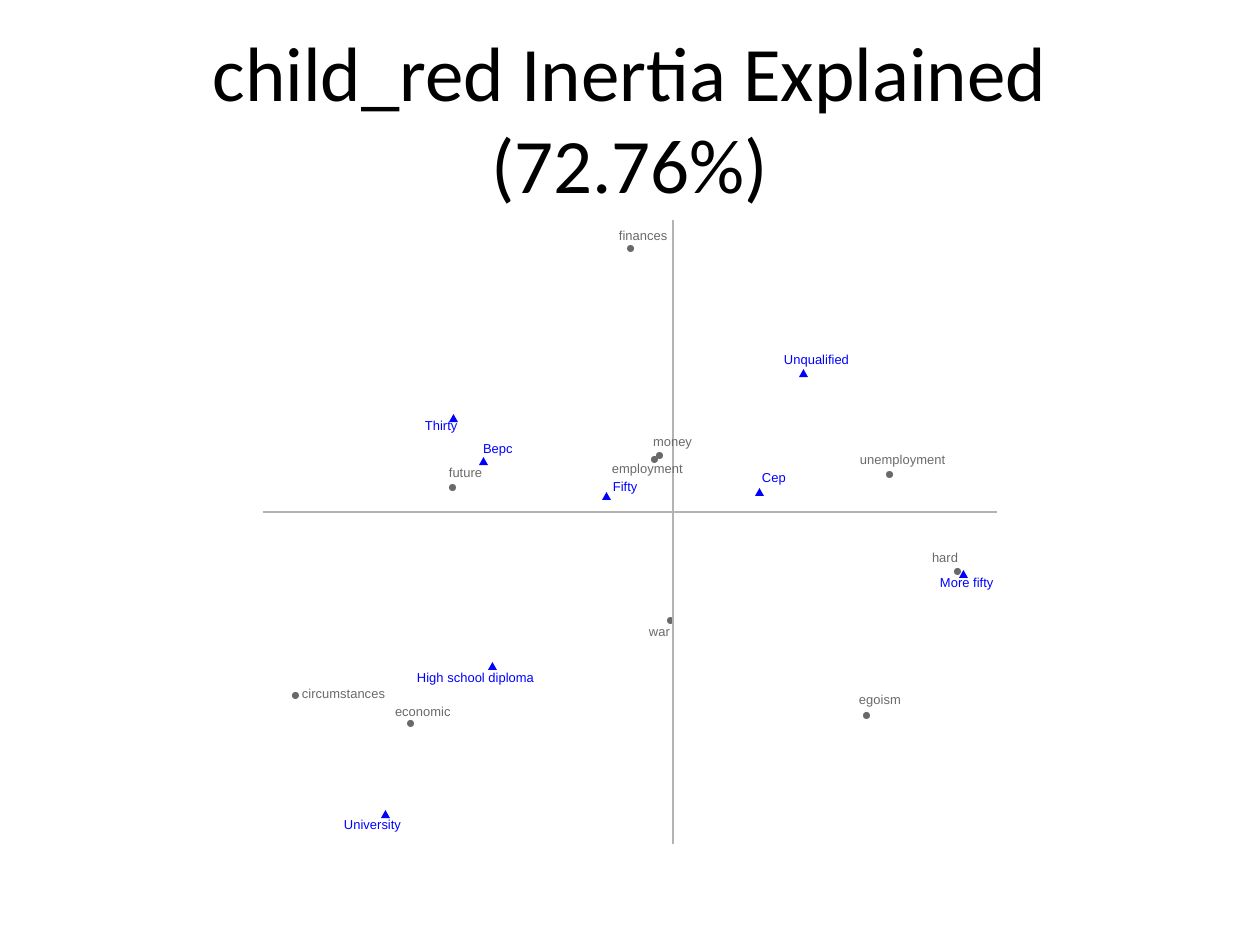
from dataclasses import dataclass

from lxml import etree
from pptx import Presentation
from pptx import util as u
from pptx.dml.color import RGBColor
from pptx.enum import shapes, text
from pptx.oxml.ns import qn

PIXEL = 914400 / 126


@dataclass(frozen=True)
class Theme:
    ink: RGBColor = RGBColor(0, 0, 0)
    paper: RGBColor = RGBColor(255, 255, 255)
    category: RGBColor = RGBColor(0x00, 0x00, 0xFF)
    word: RGBColor = RGBColor(0x69, 0x69, 0x69)
    axis: RGBColor = RGBColor(0xB3, 0xB3, 0xB3)
    title_font: str = "Calibri"
    label_font: str = "Arial"
    title_size: float = 44
    label_size: float = 7.4
    axis_width: float = 1.07
    panel_line: float = 0.75


THEME = Theme()
TRIANGLE = shapes.MSO_SHAPE.ISOSCELES_TRIANGLE
DOT = shapes.MSO_SHAPE.OVAL

CATEGORIES = [
    ("Unqualified", (799, 369), (784, 355, 68, 12)),
    ("Cep", (755, 488), (762, 473, 28, 12)),
    ("Bepc", (479, 457), (483, 444, 33, 11)),
    ("High school diploma", (488, 662), (417, 673, 121, 12)),
    ("University", (381, 810), (344, 820, 61, 12)),
    ("Thirty", (449, 414), (425, 421, 37, 12)),
    ("Fifty", (602, 492), (613, 482, 28, 12)),
    ("More fifty", (959, 570), (940, 578, 57, 12)),
]
WORDS = [
    ("money", (656, 452), (653, 438, 43, 10)),
    ("future", (449, 484), (449, 469, 37, 10)),
    ("unemployment", (886, 471), (860, 455, 88, 12)),
    ("circumstances", (292, 692), (302, 690, 87, 9)),
    ("hard", (954, 568), (932, 554, 30, 9)),
    ("economic", (407, 720), (395, 708, 59, 9)),
    ("egoism", (863, 712), (859, 695, 46, 12)),
    ("employment", (651, 456), (612, 464, 75, 12)),
    ("finances", (627, 245), (619, 232, 52, 10)),
    ("war", (667, 617), (649, 629, 25, 8)),
]


def emu(*pixels):
    return [u.Emu(round(value * PIXEL)) for value in pixels]


def add_run(paragraph, wording, font, size, color):
    run = paragraph.add_run()
    run.text = wording
    run.font.name = font
    run.font.size = u.Pt(size)
    run.font.color.rgb = color


def add_title(slide, wording):
    title = slide.shapes.title
    title.left, title.top, title.width, title.height = emu(63, 38, 1134, 157)
    frame = title.text_frame
    frame.word_wrap = True
    frame.vertical_anchor = text.MSO_ANCHOR.MIDDLE
    heading = frame.paragraphs[0]
    heading.alignment = text.PP_ALIGN.CENTER
    add_run(heading, wording, THEME.title_font, THEME.title_size, THEME.ink)


def add_filled(slide, preset, box, color):
    filled = slide.shapes.add_shape(preset, *emu(*box))
    filled.shadow.inherit = False
    filled.fill.solid()
    filled.fill.fore_color.rgb = color
    filled.line.fill.background()
    return filled


def add_panel(slide):
    panel = add_filled(slide, shapes.MSO_SHAPE.RECTANGLE, (63, 220, 1134, 624), THEME.paper)
    panel.line.color.rgb = THEME.paper
    panel.line.width = u.Pt(THEME.panel_line)


def add_markers(slide, points, preset, size, color):
    for _, corner, _ in points:
        add_filled(slide, preset, corner + size, color)


def add_axis(slide, start, end):
    axis = slide.shapes.add_connector(shapes.MSO_CONNECTOR.STRAIGHT, *emu(*start, *end))
    axis.line.color.rgb = THEME.axis
    axis.line.width = u.Pt(THEME.axis_width)
    etree.SubElement(axis._element.spPr, qn("a:effectLst"))


def add_labels(slide, points, color):
    for wording, _, box in points:
        frame = slide.shapes.add_textbox(*emu(*box)).text_frame
        frame.margin_left = frame.margin_right = frame.margin_top = frame.margin_bottom = 0
        frame.word_wrap = False
        frame.vertical_anchor = text.MSO_ANCHOR.MIDDLE
        label = frame.paragraphs[0]
        label.line_spacing = u.Pt(THEME.label_size)
        add_run(label, wording, THEME.label_font, THEME.label_size, color)


def main():
    deck = Presentation()
    deck.slide_width, deck.slide_height = emu(1260, 945)
    slide = deck.slides.add_slide(deck.slide_layouts[5])
    add_title(slide, "child_red Inertia Explained (72.76%)")
    add_panel(slide)
    add_markers(slide, CATEGORIES, TRIANGLE, (9, 8), THEME.category)
    add_markers(slide, WORDS, DOT, (7, 7), THEME.word)
    add_axis(slide, (263, 512), (997, 512))
    add_axis(slide, (673, 844), (673, 220))
    add_labels(slide, CATEGORIES, THEME.category)
    add_labels(slide, WORDS, THEME.word)
    deck.save("out.pptx")


main()
